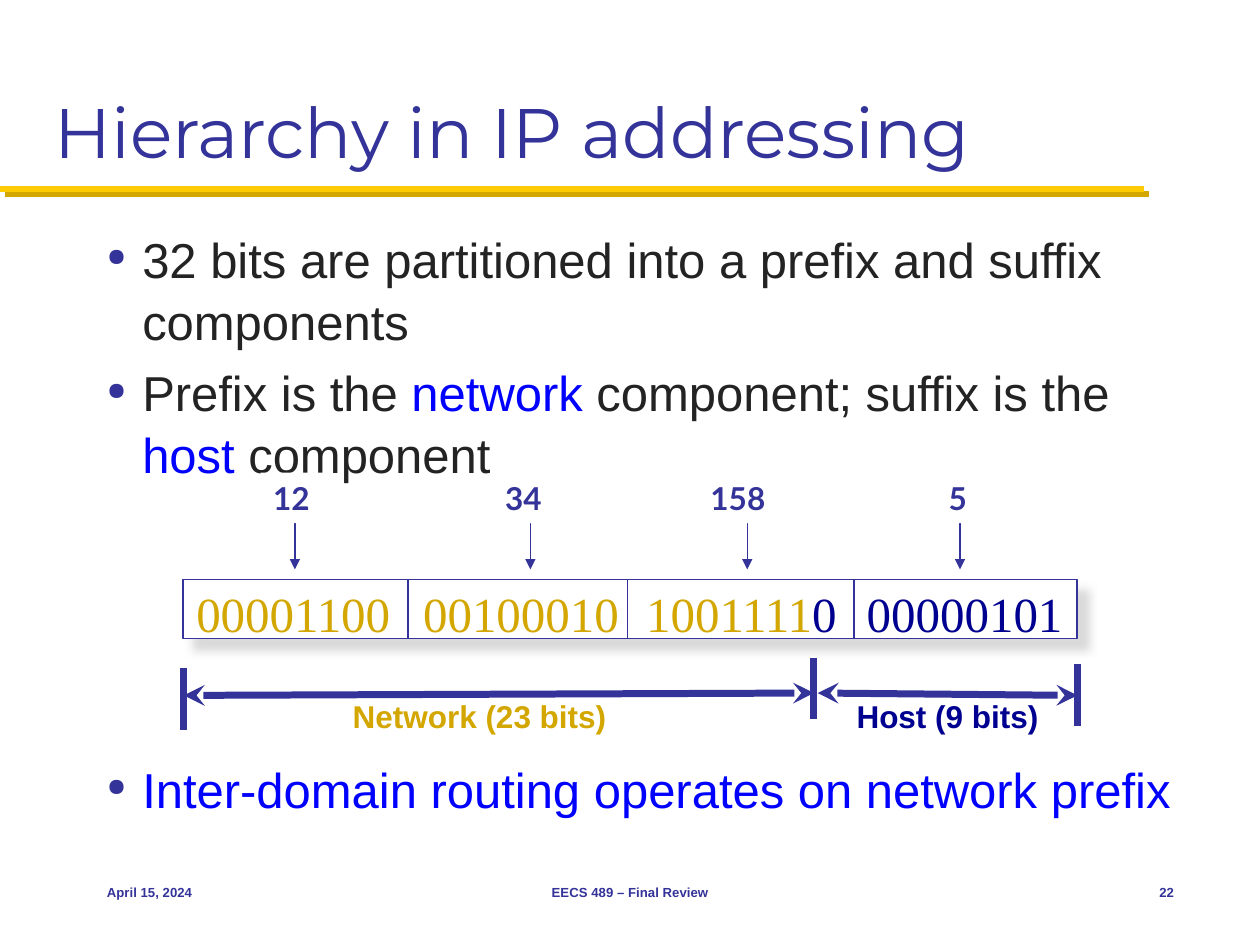
from dataclasses import dataclass
from typing import NamedTuple

from lxml.etree import SubElement
from pptx import Presentation
from pptx.dml.color import RGBColor as Color
from pptx.enum.shapes import MSO_CONNECTOR as Connector, MSO_SHAPE as Preset
from pptx.enum.text import MSO_ANCHOR as Anchor, PP_ALIGN as Align
from pptx.oxml.ns import qn
from pptx.util import Pt


@dataclass(frozen=True)
class Theme:
    navy: str = "333399"
    ink: str = "232323"
    accent: str = "0000FF"
    network: str = "D3A600"
    host: str = "000090"
    rule: str = "FFCB05"
    paper: str = "FFFFFF"
    box_shadow: str = "CECECE"
    title_size: float = 40
    body_size: float = 28
    label_size: float = 18
    footer_size: float = 7.5


THEME = Theme()


class Frame(NamedTuple):
    left: float
    top: float
    width: float
    height: float

    def lengths(self):
        return [Pt(value) for value in self]


class Style(NamedTuple):
    font: str
    size: float
    bold: bool = False


class Span(NamedTuple):
    text: str
    color: str


class Shadow(NamedTuple):
    color: str
    opacity: int
    blur: float
    distance: float


class Octet(NamedTuple):
    number: str
    number_left: float
    number_width: float
    arrow_x: float
    bits_left: float
    bits: list[Span]


TITLE = Style("Montserrat", THEME.title_size)
BODY = Style("Arial", THEME.body_size)
BITS = Style("Times New Roman", THEME.body_size)
NUMBER = Style("Lato", THEME.label_size, True)
LABEL = Style("Arial", THEME.label_size, True)
FOOTER = Style("Arial", THEME.footer_size, True)

BULLETS = [
    (2, [Span("32 bits are partitioned into a prefix and suffix components", THEME.ink)]),
    (5.6, [Span("Prefix is the ", THEME.ink), Span("network ", THEME.accent),
           Span("component; suffix is the ", THEME.ink), Span("host ", THEME.accent),
           Span("component", THEME.ink)]),
    (156, [Span("Inter-domain routing operates on network prefix", THEME.accent)]),
]
ADDRESS = Frame(104.4, 331.2, 511.2, 33.8)
DIVIDERS = [233.3, 358.6, 488.2]
OCTETS = [
    Octet("12", 149, 37.4, 168.5, 105.1, [Span("00001100", THEME.network)]),
    Octet("34", 281.5, 37.4, 303.1, 234.7, [Span("00100010", THEME.network)]),
    Octet("158", 398.9, 49, 427, 362.2,
          [Span("1001111", THEME.network), Span("0", THEME.host)]),
    Octet("5", 535, 25.9, 548.6, 488.2, [Span("00000101", THEME.host)]),
]
BOUNDS = [(105.1, 381.6), (465.1, 375.8), (615.6, 379.4)]
SPANS = [((465.1, 396), (105.1, 397.4)), ((467.3, 396), (615.6, 397.4))]
LABELS = [
    (Frame(194.4, 394.6, 165, 29), Span("Network (23 bits)", THEME.network)),
    (Frame(482.4, 394.6, 119.5, 29), Span("Host (9 bits)", THEME.host)),
]
FOOTERS = [
    (54, 150, Align.LEFT, "April 15, 2024"),
    (246, 228, Align.CENTER, "EECS 489 – Final Review"),
    (630, 48, Align.RIGHT, "22"),
]


def add_spans(para, spans: list[Span], style: Style) -> None:
    for span in spans:
        run = para.add_run()
        run.text = span.text
        font = run.font
        font.name, font.size, font.bold = style.font, Pt(style.size), style.bold
        font.color.rgb = Color.from_string(span.color)


def add_label(slide, frame: Frame, spans: list[Span], style: Style,
              align=Align.LEFT, anchor=Anchor.TOP, fill: str | None = None) -> None:
    box = slide.shapes.add_textbox(*frame.lengths())
    if fill:
        box.fill.solid()
        box.fill.fore_color.rgb = Color.from_string(fill)
    box.text_frame.word_wrap = False
    box.text_frame.vertical_anchor = anchor
    para = box.text_frame.paragraphs[0]
    para.alignment = align
    add_spans(para, spans, style)


def set_shadow(shape, shadow: Shadow | None) -> None:
    """Replace the theme's effects with one diagonal shadow, or with none."""
    effects = SubElement(shape._element.spPr, qn("a:effectLst"))
    if shadow:
        outer = SubElement(effects, qn("a:outerShdw"), blurRad=str(int(Pt(shadow.blur))),
                           dist=str(int(Pt(shadow.distance))), dir="2700000",
                           algn="tl", rotWithShape="0")
        color = SubElement(outer, qn("a:srgbClr"), val=shadow.color)
        SubElement(color, qn("a:alpha"), val=str(shadow.opacity * 1000))


def add_line(slide, start, end, width: float, color: str = THEME.navy,
             head: str | None = None, tail: str | None = None,
             shadow: Shadow | None = None) -> None:
    line = slide.shapes.add_connector(Connector.STRAIGHT,
                                      *[Pt(value) for value in (*start, *end)])
    line.line.width = Pt(width)
    line.line.color.rgb = Color.from_string(color)
    outline = line.line._get_or_add_ln()
    for tag, arrow in (("a:headEnd", head), ("a:tailEnd", tail)):
        if arrow:
            SubElement(outline, qn(tag), type=arrow)
    set_shadow(line, shadow)


def add_heading(slide) -> None:
    add_line(slide, (0, 108), (653.8, 108), 3.5, THEME.rule,
             shadow=Shadow(THEME.network, 100, 0, 4.2))
    title = slide.shapes.title
    title.left, title.top, title.width, title.height = Frame(24, 12, 672, 90).lengths()
    title.text_frame.vertical_anchor = Anchor.BOTTOM
    para = title.text_frame.paragraphs[0]
    para.alignment = Align.LEFT
    add_spans(para, [Span("Hierarchy in IP addressing", THEME.navy)], TITLE)


def add_bullets(slide) -> None:
    frame = slide.shapes.add_textbox(*Frame(54, 126, 642, 348).lengths()).text_frame
    frame.word_wrap = True
    for index, (gap, spans) in enumerate(BULLETS):
        para = frame.add_paragraph() if index else frame.paragraphs[0]
        para.line_spacing, para.space_before = 1.05, Pt(gap)
        props = para._p.get_or_add_pPr()
        props.set("marL", str(int(Pt(20.25))))
        props.set("indent", str(int(Pt(-20.25))))
        SubElement(SubElement(props, qn("a:buClr")), qn("a:srgbClr"), val=THEME.navy)
        SubElement(props, qn("a:buSzPct"), val="50000")
        SubElement(props, qn("a:buChar"), char="●")
        add_spans(para, spans, BODY)


def add_address(slide) -> None:
    box = slide.shapes.add_shape(Preset.RECTANGLE, *ADDRESS.lengths())
    box.fill.solid()
    box.fill.fore_color.rgb = Color.from_string(THEME.paper)
    box.line.color.rgb = Color.from_string(THEME.navy)
    box.line.width = Pt(1)
    set_shadow(box, Shadow(THEME.box_shadow, 75, 5, 8.5))
    for x in DIVIDERS:
        add_line(slide, (x, ADDRESS.top), (x, ADDRESS.top + ADDRESS.height), 1)
    for octet in OCTETS:
        add_label(slide, Frame(octet.bits_left, 330, 127, 41), octet.bits, BITS)
        add_line(slide, (octet.arrow_x, 275.8), (octet.arrow_x, 325.4), 0.75, tail="triangle")
        add_label(slide, Frame(octet.number_left, 270, octet.number_width, 29),
                  [Span(octet.number, THEME.navy)], NUMBER, fill=THEME.paper)


def add_measures(slide) -> None:
    for x, top in BOUNDS:
        add_line(slide, (x, top), (x, top + 35.3), 4)
    for start, end in SPANS:
        add_line(slide, start, end, 4, head="stealth", tail="stealth")
    for frame, span in LABELS:
        add_label(slide, frame, [span], LABEL)


def main() -> None:
    deck = Presentation()
    deck.slide_width, deck.slide_height = Pt(720), Pt(540)
    slide = deck.slides.add_slide(deck.slide_layouts[5])
    add_heading(slide)
    add_bullets(slide)
    add_address(slide)
    add_measures(slide)
    for left, width, align, text in FOOTERS:
        add_label(slide, Frame(left, 492, width, 36), [Span(text, THEME.navy)], FOOTER,
                  align, Anchor.MIDDLE)
    deck.save("out.pptx")


if __name__ == "__main__":
    main()
